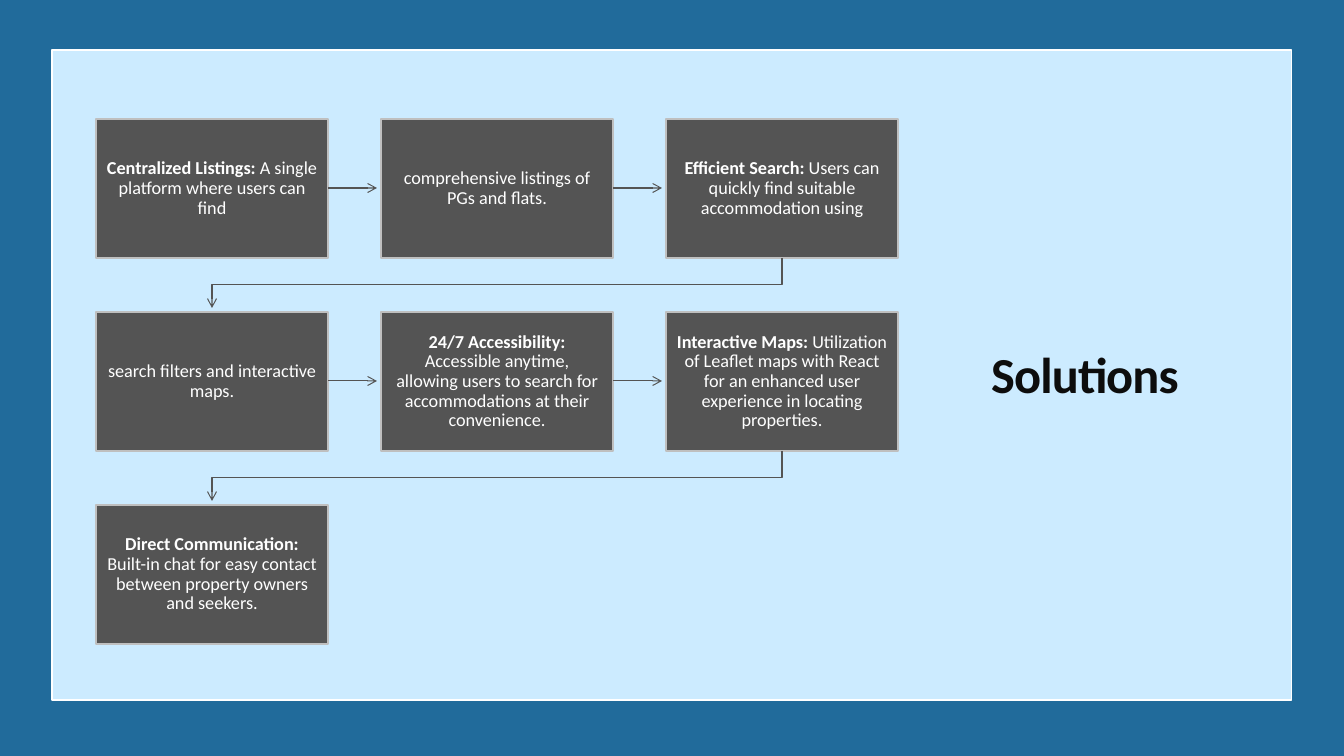
from dataclasses import dataclass

from lxml import etree
from pptx import Presentation
from pptx.dml.color import RGBColor
from pptx.enum.shapes import MSO_CONNECTOR, MSO_SHAPE
from pptx.enum.text import MSO_ANCHOR, MSO_AUTO_SIZE, PP_ALIGN
from pptx.oxml.ns import qn
from pptx.util import Pt

RECTANGLE = MSO_SHAPE.RECTANGLE
STRAIGHT = MSO_CONNECTOR.STRAIGHT
MIDDLE = MSO_ANCHOR.MIDDLE
NO_AUTOFIT = MSO_AUTO_SIZE.NONE
LEFT, CENTER = PP_ALIGN.LEFT, PP_ALIGN.CENTER

PX = 914400 / 100.8
TITLE_ONLY = 5

COLUMNS = 3
GRID_LEFT, GRID_TOP = 96, 119
BOX_WIDTH, BOX_HEIGHT = 232, 139
COLUMN_STEP, ROW_STEP = 285, 193
ARROW_GAP = 4

SOLUTIONS = [
    ("Centralized Listings: ", "A single platform where users can find"),
    ("", "comprehensive listings of PGs and flats."),
    ("Efficient Search: ", "Users can quickly find suitable accommodation using"),
    ("", "search filters and interactive maps."),
    ("24/7 Accessibility: ",
     "Accessible anytime, allowing users to search for accommodations at their convenience."),
    ("Interactive Maps: ",
     "Utilization of Leaflet maps with React for an enhanced user experience in locating properties."),
    ("Direct Communication: ",
     "Built-in chat for easy contact between property owners and seekers."),
]


def px(length):
    return round(length * PX)


@dataclass(frozen=True)
class Theme:
    font: str = "Calibri"
    title_size: float = 36
    box_size: float = 13
    line_spacing: float = 0.9
    title_tracking: int = -60
    outline_width: float = 0.85
    arrow_width: float = 0.75
    frame: RGBColor = RGBColor(0x21, 0x6B, 0x9B)
    panel: RGBColor = RGBColor(0xCC, 0xEB, 0xFF)
    box: RGBColor = RGBColor(0x54, 0x54, 0x54)
    box_outline: RGBColor = RGBColor(0xBF, 0xBF, 0xBF)
    white: RGBColor = RGBColor(0xFF, 0xFF, 0xFF)
    title: RGBColor = RGBColor(0x0D, 0x0D, 0x0D)


class SlideBuilder:
    def __init__(self, slide, theme):
        self.slide = slide
        self.theme = theme

    def background(self, color):
        fill = self.slide.background.fill
        fill.solid()
        fill.fore_color.rgb = color

    def rectangle(self, left, top, width, height, color, outline):
        shape = self.slide.shapes.add_shape(
            RECTANGLE, px(left), px(top), px(width), px(height))
        shape.shadow.inherit = False
        shape.fill.solid()
        shape.fill.fore_color.rgb = color
        shape.line.color.rgb = outline
        shape.line.width = Pt(self.theme.outline_width)
        return shape

    def panel(self, left, top, width, height):
        shape = self.rectangle(left, top, width, height, self.theme.panel, self.theme.white)
        self.slide.shapes.title.element.addprevious(shape.element)

    def format_paragraph(self, paragraph, size, color, alignment):
        paragraph.alignment = alignment
        paragraph.line_spacing = self.theme.line_spacing
        paragraph.font.name = self.theme.font
        paragraph.font.size = Pt(size)
        paragraph.font.color.rgb = color

    def title(self, text, left, top, width, height):
        title = self.slide.shapes.title
        title.left, title.top, title.width, title.height = map(px, (left, top, width, height))
        frame = title.text_frame
        frame.auto_size = NO_AUTOFIT
        frame.vertical_anchor = MIDDLE
        paragraph = frame.paragraphs[0]
        self.format_paragraph(paragraph, self.theme.title_size, self.theme.title, LEFT)
        paragraph.font.bold = True
        run = paragraph.add_run()
        run.text = text
        run.font._element.set("spc", str(self.theme.title_tracking))

    def box(self, left, top, heading, body):
        shape = self.rectangle(
            left, top, BOX_WIDTH, BOX_HEIGHT, self.theme.box, self.theme.box_outline)
        frame = shape.text_frame
        frame.word_wrap = True
        frame.vertical_anchor = MIDDLE
        frame.margin_left = frame.margin_right = px(11)
        frame.margin_top = frame.margin_bottom = px(12)
        paragraph = frame.paragraphs[0]
        self.format_paragraph(paragraph, self.theme.box_size, self.theme.white, CENTER)
        for text, bold in ((heading, True), (body, False)):
            if text:
                run = paragraph.add_run()
                run.text = text
                run.font.bold = bold

    def style_arrow(self, shape):
        shape.line.color.rgb = self.theme.box
        shape.line.width = Pt(self.theme.arrow_width)
        properties = shape.element.spPr
        etree.SubElement(properties.find(qn("a:ln")), qn("a:tailEnd"), type="arrow")

    def straight_arrow(self, start_x, end_x, y):
        connector = self.slide.shapes.add_connector(
            STRAIGHT, px(start_x), px(y), px(end_x), px(y))
        self.style_arrow(connector)
        etree.SubElement(connector.element.spPr, qn("a:effectLst"))

    def bent_arrow(self, points):
        builder = self.slide.shapes.build_freeform(*points[0], scale=PX)
        builder.add_line_segments(points[1:], close=False)
        shape = builder.convert_to_shape()
        shape.fill.background()
        shape.shadow.inherit = False
        self.style_arrow(shape)


def box_position(index):
    row, column = divmod(index, COLUMNS)
    return GRID_LEFT + column * COLUMN_STEP, GRID_TOP + row * ROW_STEP


def main():
    presentation = Presentation()
    presentation.slide_width = px(1344)
    presentation.slide_height = px(756)
    slide = presentation.slides.add_slide(presentation.slide_layouts[TITLE_ONLY])
    theme = Theme()
    builder = SlideBuilder(slide, theme)

    builder.background(theme.frame)
    builder.panel(52, 50, 1240, 650)
    builder.title("Solutions", 981, 124, 325, 507)

    for index, (heading, body) in enumerate(SOLUTIONS):
        left, top = box_position(index)
        builder.box(left, top, heading, body)
        if index + 1 == len(SOLUTIONS):
            continue
        next_left, next_top = box_position(index + 1)
        if next_top == top:
            builder.straight_arrow(
                left + BOX_WIDTH, next_left - ARROW_GAP, top + BOX_HEIGHT // 2)
        else:
            start_x, end_x = left + BOX_WIDTH // 2, next_left + BOX_WIDTH // 2
            bottom = top + BOX_HEIGHT
            turn_y = (bottom + next_top) // 2
            builder.bent_arrow([
                (start_x, bottom), (start_x, turn_y),
                (end_x, turn_y), (end_x, next_top - ARROW_GAP)])

    presentation.save("out.pptx")


if __name__ == "__main__":
    main()
